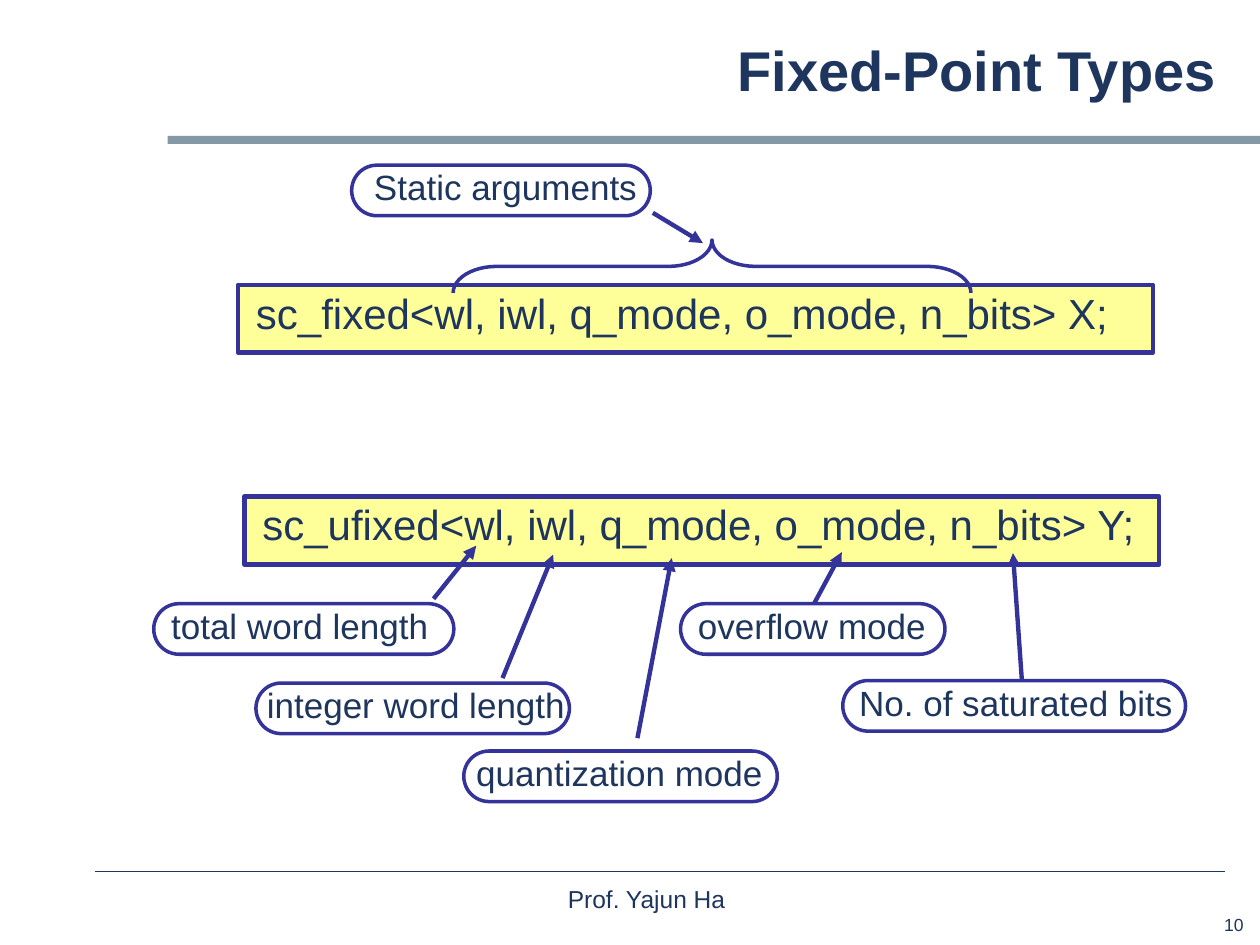
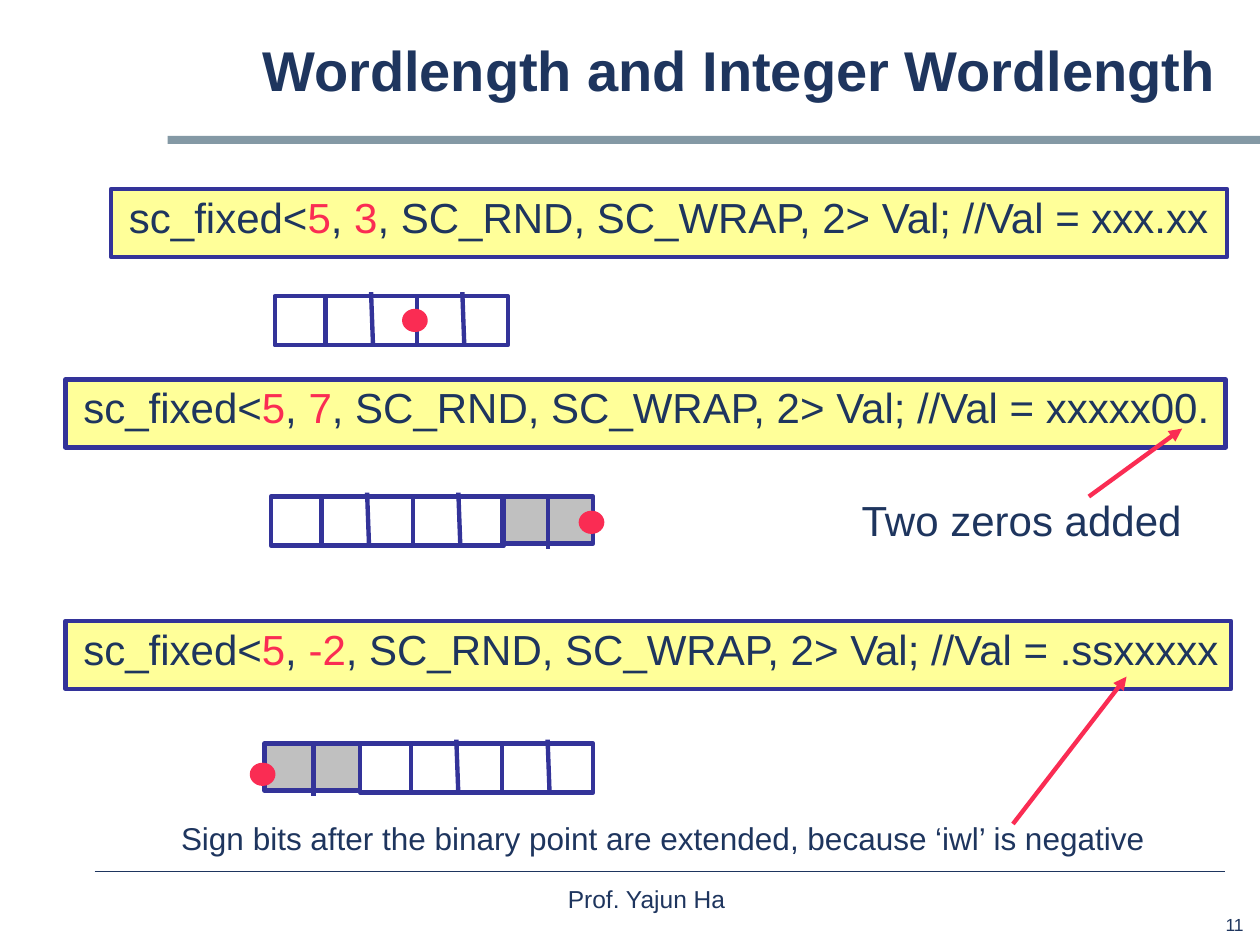
from typing import NamedTuple

from lxml.etree import SubElement
from pptx import Presentation
from pptx.dml.color import RGBColor
from pptx.enum.shapes import MSO_CONNECTOR, MSO_SHAPE
from pptx.enum.text import MSO_ANCHOR, PP_ALIGN
from pptx.oxml.ns import qn
from pptx.shapes.autoshape import Shape
from pptx.slide import Slide
from pptx.text.text import TextFrame
from pptx.util import Cm, Pt

NAVY, BLUE, RED = "1E355E", "333399", "FA2C53"
YELLOW, GREY, STEEL = "FFFF99", "C0C0C0", "8499A5"
FONT = "Arial"
TIGHT = 0.88


class Box(NamedTuple):
    """A frame in centimetres."""
    x: float
    y: float
    w: float
    h: float


class Line(NamedTuple):
    """Two end points in centimetres."""
    x: float
    y: float
    to_x: float
    to_y: float


class Bit(NamedTuple):
    """A piece of text in one colour."""
    text: str
    tone: str = NAVY


class Code(NamedTuple):
    """A framed line of code."""
    x: float
    y: float
    w: float
    texts: list[Bit]


class Pill(NamedTuple):
    """A rounded label with its text start and pointer."""
    x: float
    y: float
    w: float
    start: float
    text: str
    arrow: Line


class Word(NamedTuple):
    """A five-bit word with its binary point."""
    x: float
    y: float
    dot_x: float
    dot_y: float


class Pad(NamedTuple):
    """Two grey bits and the line between them."""
    x: float
    y: float
    w: float
    mid: float


def tint(tone: str) -> RGBColor:
    """Turn a hex string into a colour."""
    return RGBColor.from_string(tone)


def shape(slide: Slide, kind: MSO_SHAPE, box: Box, fill: str | None = None,
          edge: str | None = None, width: float = 2.5) -> Shape:
    """Draw a preset shape."""
    item = slide.shapes.add_shape(kind, *map(Cm, box))
    item.shadow.inherit = False
    if fill:
        item.fill.solid()
        item.fill.fore_color.rgb = tint(fill)
    else:
        item.fill.background()
    if edge:
        item.line.color.rgb = tint(edge)
        item.line.width = Pt(width)
    else:
        item.line.fill.background()
    return item


def line(slide: Slide, ends: Line, tone: str = BLUE, width: float = 2.5,
         head: bool = False) -> None:
    """Draw a straight line, with an arrowhead if asked."""
    item = slide.shapes.add_connector(MSO_CONNECTOR.STRAIGHT, *map(Cm, ends))
    item.line.color.rgb = tint(tone)
    item.line.width = Pt(width)
    props = item._element.spPr
    if head:
        SubElement(props.find(qn("a:ln")), qn("a:tailEnd"), type="triangle")
    SubElement(props, qn("a:effectLst"))


def write(frame: TextFrame, texts: list[Bit], size: float,
          align: PP_ALIGN = PP_ALIGN.LEFT, bold: bool = False,
          space: float = TIGHT) -> None:
    """Fill a frame with one paragraph."""
    frame.word_wrap = True
    para = frame.paragraphs[0]
    para.alignment = align
    para.line_spacing = space
    runs = []
    for bit in texts:
        run = para.add_run()
        run.text = bit.text
        runs.append(run)
    fonts = [run.font for run in runs] if len(runs) > 1 else [para.font]
    for font, bit in zip(fonts, texts):
        font.name, font.size, font.bold = FONT, Pt(size), bold
        font.color.rgb = tint(bit.tone)


def label(slide: Slide, box: Box, text: str, size: float,
          align: PP_ALIGN = PP_ALIGN.LEFT, bold: bool = False,
          space: float = TIGHT) -> TextFrame:
    """Add a text box."""
    frame = slide.shapes.add_textbox(*map(Cm, box)).text_frame
    write(frame, [Bit(text)], size, align, bold, space)
    return frame


def base(deck: Presentation, title: str, page: int) -> Slide:
    """Add a slide with title, band and footer."""
    slide = deck.slides.add_slide(deck.slide_layouts[6])
    shape(slide, MSO_SHAPE.RECTANGLE, Box(3.38, 2.74, 22.02, 0.16), STEEL)
    line(slide, Line(1.91, 17.57, 24.69, 17.57), NAVY, 0.75)
    frame = label(slide, Box(3.38, 0.43, 21.39, 2.11), title, 32,
                  PP_ALIGN.RIGHT, True)
    frame.vertical_anchor = MSO_ANCHOR.MIDDLE
    label(slide, Box(8.69, 17.7, 8.69, 1.07), "Prof. Yajun Ha", 14,
          PP_ALIGN.CENTER, space=1.0)
    label(slide, Box(23.67, 18.31, 1.65, 0.66), str(page), 10,
          PP_ALIGN.RIGHT, space=1.0)
    return slide


def code(slide: Slide, row: Code) -> None:
    """Draw a yellow code line."""
    item = shape(slide, MSO_SHAPE.RECTANGLE, Box(row.x, row.y, row.w, 1.37),
                 YELLOW, BLUE)
    frame = item.text_frame
    frame.margin_left, frame.margin_top = Cm(0.36), Cm(0.18)
    frame.margin_right = frame.margin_bottom = Cm(0)
    frame.vertical_anchor = MSO_ANCHOR.TOP
    write(frame, row.texts, 24)


def pill(slide: Slide, tag: Pill) -> None:
    """Draw a rounded label and its pointer."""
    label(slide, Box(tag.start, tag.y, tag.w + 0.5, 1.02), tag.text, 20)
    item = shape(slide, MSO_SHAPE.ROUNDED_RECTANGLE,
                 Box(tag.x, tag.y, tag.w, 1.02), None, BLUE, 2)
    item.adjustments[0] = 0.5
    line(slide, tag.arrow, head=True)


def pad(slide: Slide, bits: Pad) -> None:
    """Draw two grey bits."""
    shape(slide, MSO_SHAPE.RECTANGLE, Box(bits.x, bits.y, bits.w, 0.95),
          GREY, BLUE)
    line(slide, Line(bits.mid, bits.y + 0.03, bits.mid, bits.y + 1.05))


def word(slide: Slide, bits: Word) -> None:
    """Draw five bits, every second divider aslant, and the point."""
    shape(slide, MSO_SHAPE.RECTANGLE, Box(bits.x, bits.y, 4.7, 0.99), None, BLUE)
    for step in range(4):
        x = bits.x + 1.02 + 0.92 * step
        odd = step % 2
        line(slide, Line(x, bits.y - 0.04 - 0.04 * odd,
                         x + 0.04 * odd, bits.y + 0.94 + 0.07 * odd))
    shape(slide, MSO_SHAPE.OVAL, Box(bits.dot_x, bits.dot_y, 0.43, 0.38), RED, RED)


def types(deck: Presentation) -> None:
    """Build the slide on fixed-point types."""
    slide = base(deck, "Fixed-Point Types", 10)
    rows = [
        Code(4.8, 5.74, 18.44,
             [Bit("sc_fixed<wl, iwl, q_mode, o_mode, n_bits> X;")]),
        Code(4.93, 10.01, 18.44,
             [Bit("sc_ufixed<wl, iwl, q_mode, o_mode, n_bits> Y;")]),
    ]
    for row in rows:
        code(slide, row)
    brace = shape(slide, MSO_SHAPE.RIGHT_BRACE, Box(13.82, 0.15, 1.07, 10.44),
                  None, BLUE, 2)
    brace.rotation = 270
    brace.adjustments[0] = 0.82
    tags = [
        Pill(7.09, 3.33, 6.02, 7.29, "Static arguments",
             Line(13.16, 4.29, 14.17, 4.9)),
        Pill(3.1, 12.17, 6.05, 3.2, "total word length",
             Line(8.74, 12.07, 9.6, 11)),
        Pill(5.16, 13.77, 6.32, 5.13, "integer word length",
             Line(10.13, 13.67, 11.15, 11.18)),
        Pill(9.35, 15.14, 6.32, 9.35, "quantization mode",
             Line(12.85, 14.88, 13.54, 11.25)),
        Pill(13.72, 12.17, 5.33, 13.82, "overflow mode",
             Line(16.41, 12.17, 16.97, 11.13)),
        Pill(16.99, 13.72, 6.91, 17.07, "No. of saturated bits",
             Line(20.6, 13.72, 20.42, 11.15)),
    ]
    for tag in tags:
        pill(slide, tag)


def length(deck: Presentation) -> None:
    """Build the slide on word lengths."""
    slide = base(deck, "Wordlength and Integer Wordlength", 11)
    rows = [
        (2.24, 3.81, 22.5, "3", "xxx.xx"),
        (1.32, 7.65, 23.39, "7", "xxxxx00."),
        (1.32, 12.52, 23.5, "-2", ".ssxxxxx"),
    ]
    for x, y, w, iwl, val in rows:
        code(slide, Code(x, y, w, [
            Bit("sc_fixed<"), Bit("5", RED), Bit(", "), Bit(iwl, RED),
            Bit(f", SC_RND, SC_WRAP, 2> Val; //Val = {val}")]))
    for bits in (Pad(10.13, 10.01, 1.83, 11.05), Pad(5.33, 14.99, 1.93, 6.32)):
        pad(slide, bits)
    for bits in (Word(5.54, 5.97, 8.15, 6.27), Word(5.46, 10.01, 11.71, 10.34),
                 Word(7.26, 14.99, 5.08, 15.42)):
        word(slide, bits)
    label(slide, Box(17.12, 9.98, 7.5, 1.14), "Two zeros added", 24)
    label(slide, Box(3.4, 16.48, 20.5, 0.94),
          "Sign bits after the binary point are extended, "
          "because ‘iwl’ is negative", 18)
    for ends in (Line(21.95, 10.01, 23.83, 8.64), Line(20.42, 16.61, 22.71, 13.64)):
        line(slide, ends, RED, head=True)


def main() -> None:
    """Build and save the deck."""
    deck = Presentation()
    deck.slide_width, deck.slide_height = Cm(25.4), Cm(19.05)
    types(deck)
    length(deck)
    deck.save("out.pptx")


if __name__ == "__main__":
    main()
